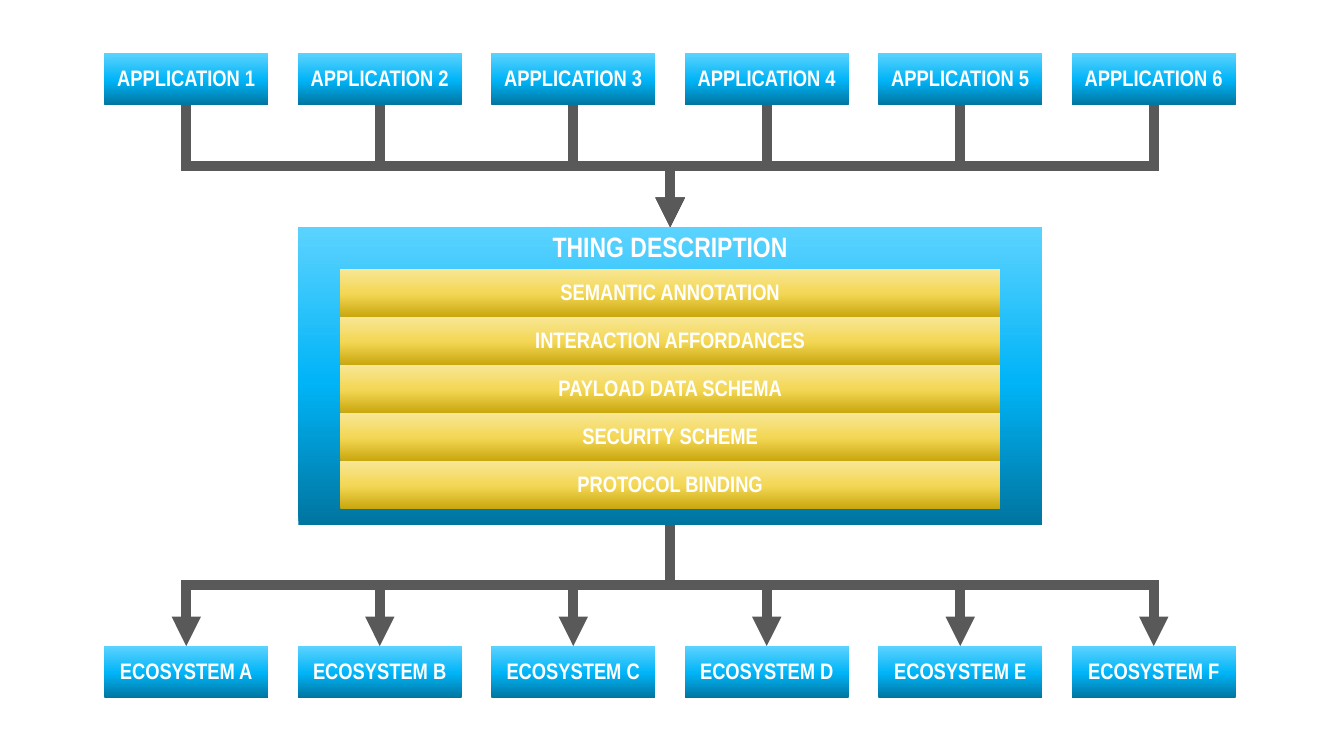
import copy

import pptx
import pptx.dml.color
import pptx.enum.shapes
import pptx.enum.text
import pptx.oxml.ns
import pptx.util
from pptx.util import Cm

RGBColor = pptx.dml.color.RGBColor
WHITE = RGBColor(0xFF, 0xFF, 0xFF)
GREY = RGBColor(0x59, 0x59, 0x59)
BLUES = (RGBColor(0x00, 0x75, 0xA0), RGBColor(0x00, 0xB4, 0xF7), RGBColor(0x5C, 0xD3, 0xFF))
GOLDS = (RGBColor(0xC9, 0xA7, 0x0E), RGBColor(0xF3, 0xD6, 0x53), RGBColor(0xF8, 0xE6, 0x95))
STOPS = (0, 0.48, 1)
FONT = "Arial Narrow"

APPLICATIONS = [f"APPLICATION {n}" for n in range(1, 7)]
ECOSYSTEMS = [f"ECOSYSTEM {letter}" for letter in "ABCDEF"]
LAYERS = ["SEMANTIC ANNOTATION", "INTERACTION AFFORDANCES", "PAYLOAD DATA SCHEMA",
          "SECURITY SCHEME", "PROTOCOL BINDING"]


def write_text(sp, text, size=16, bold=True, color=WHITE,
               anchor=pptx.enum.text.MSO_ANCHOR.MIDDLE):
    tf = sp.text_frame
    tf.word_wrap = True
    tf.vertical_anchor = anchor
    p = tf.paragraphs[0]
    p.alignment = pptx.enum.text.PP_ALIGN.CENTER
    p.line_spacing = 0.95
    r = p.add_run()
    r.text = text
    r.font.name = FONT
    r.font.size = pptx.util.Pt(size)
    r.font.bold = bold
    r.font.color.rgb = color


def add_box(shapes, left, top, width, height, colors, text, **text_format):
    """Add a rectangle whose gradient runs from the bottom to the top."""
    sp = shapes.add_shape(pptx.enum.shapes.MSO_SHAPE.RECTANGLE, left, top, width, height)
    sp.shadow.inherit = False
    sp.line.fill.background()
    sp.fill.gradient()
    sp.fill.gradient_angle = 90
    first = sp._element.spPr.find(".//" + pptx.oxml.ns.qn("a:gs"))
    first.addnext(copy.deepcopy(first))
    for stop, position, color in zip(sp.fill.gradient_stops, STOPS, colors):
        stop.position = position
        stop.color.rgb = color
    write_text(sp, text, **text_format)
    return sp


def add_elbow(shapes, begin, end, arrow_end):
    """Join two points by a line that leaves and arrives vertically.

    The preset elbow runs horizontally, so it is laid out unrotated around the
    midpoint and then turned by a quarter. arrow_end is "headEnd" or "tailEnd".
    """
    cx, cy = (begin[0] + end[0]) // 2, (begin[1] + end[1]) // 2
    vx, vy = begin[0] - cx, begin[1] - cy
    turn = 1 if vx > 0 else -1
    dx, dy = turn * vy, -abs(vx)
    line = shapes.add_connector(pptx.enum.shapes.MSO_CONNECTOR.ELBOW,
                                cx + dx, cy + dy, cx - dx, cy - dy)
    line.line.color.rgb = GREY
    line.line.width = pptx.util.Pt(7)
    spPr = line._element.spPr
    spPr.xfrm.set("rot", str((90 if turn > 0 else 270) * 60000))
    qn, make = pptx.oxml.ns.qn, spPr.makeelement
    ln = spPr.find(qn("a:ln"))
    ln.append(make(qn("a:miter"), {"lim": "800000"}))
    ln.append(make(qn("a:" + arrow_end), {"type": "triangle"}))
    spPr.append(make(qn("a:effectLst"), {}))


def add_thing_description(slide, left, top, width, height):
    shapes = slide.shapes.add_group_shape().shapes
    add_box(shapes, left, top, width, height, BLUES, "THING DESCRIPTION",
            size=20, anchor=pptx.enum.text.MSO_ANCHOR.TOP)
    inset, layer_height = Cm(1.06), Cm(1.21)
    for i, layer in enumerate(LAYERS):
        add_box(shapes, left + inset, top + inset + i * layer_height,
                width - 2 * inset, layer_height, GOLDS, layer)


def add_linked_row(slide, left, top, width, height, labels, hub, arrow_end):
    """Add evenly spaced boxes, each joined to the hub point above or below."""
    shapes = slide.shapes.add_group_shape().shapes
    box_width = Cm(4.13)
    pitch = (width - box_width) // (len(labels) - 1)
    link_y = top if hub[1] < top else top + height
    for i, label in enumerate(labels):
        x = left + i * pitch
        add_box(shapes, x, top, box_width, height, BLUES, label)
        add_elbow(shapes, hub, (x + box_width // 2, link_y), arrow_end)


def main():
    prs = pptx.Presentation()
    prs.slide_width, prs.slide_height = Cm(33.88), Cm(19.05)
    s = prs.slides.add_slide(prs.slide_layouts[6])

    left, top, width, height = Cm(7.52), Cm(5.72), Cm(18.75), Cm(7.5)
    row_left, row_width, row_height = Cm(2.63), Cm(28.52), Cm(1.31)
    center = left + width // 2
    add_thing_description(s, left, top, width, height)
    add_linked_row(s, row_left, Cm(16.28), row_width, row_height,
                   ECOSYSTEMS, (center, top + height), "tailEnd")
    add_linked_row(s, row_left, Cm(1.34), row_width, row_height,
                   APPLICATIONS, (center, top), "headEnd")
    prs.save("out.pptx")


if __name__ == "__main__":
    main()
